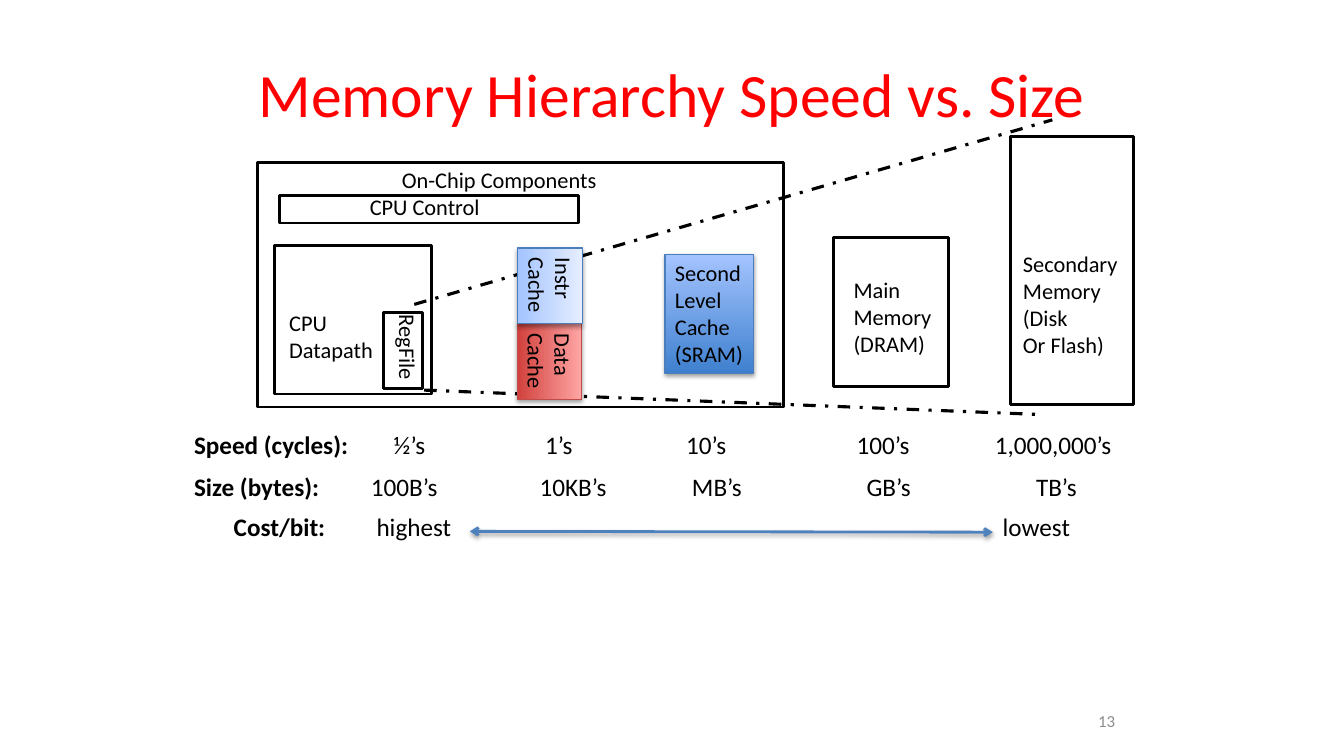
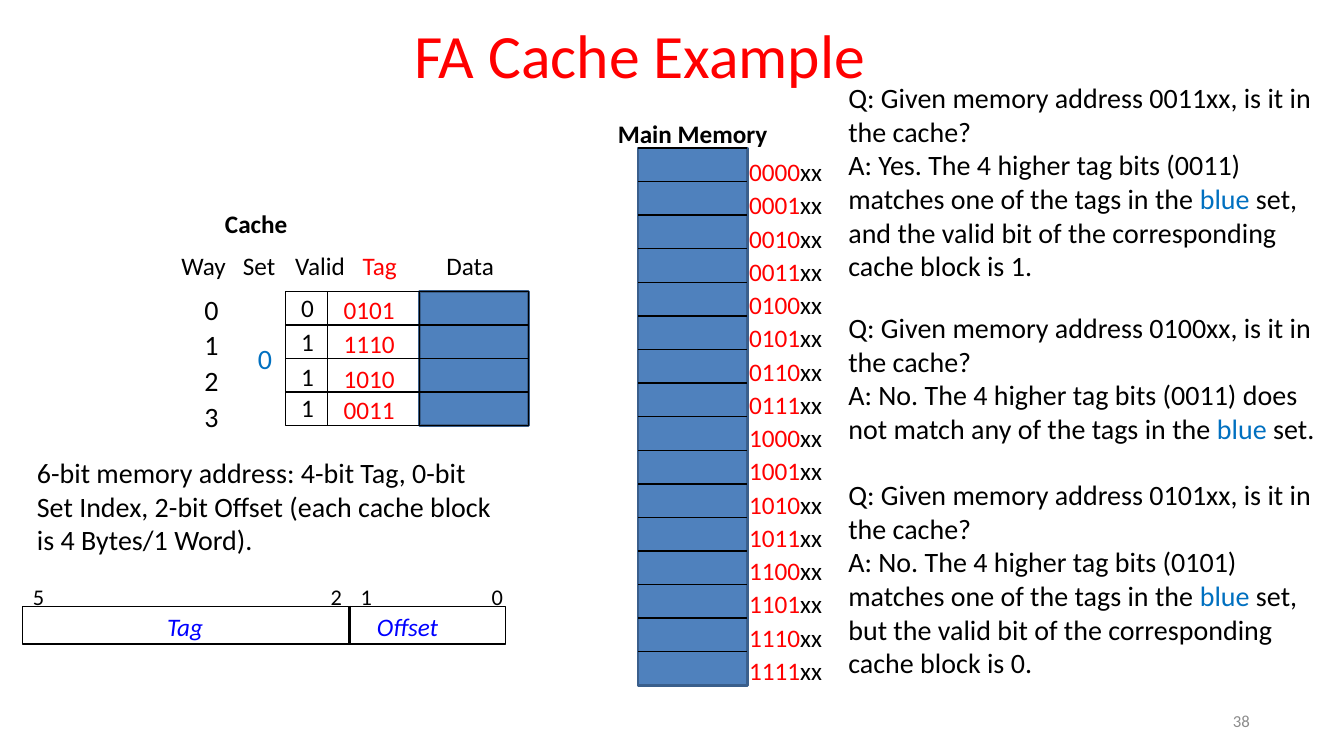
from lxml import etree
from pptx import Presentation
from pptx.dml.color import RGBColor
from pptx.enum import dml, shapes, text
from pptx.oxml import ns
from pptx.util import Cm, Pt

BLACK = RGBColor(0x00, 0x00, 0x00)
RED = RGBColor(0xFF, 0x00, 0x00)
GRAY = RGBColor(0x8C, 0x8C, 0x8C)
BLUE = RGBColor(0x00, 0x00, 0xFF)
SET_BLUE = RGBColor(0x00, 0x70, 0xC0)
BLOCK = RGBColor(0x4F, 0x81, 0xBD)
BLOCK_EDGE = RGBColor(0x3A, 0x5F, 0x8C)
CACHE_EDGE = RGBColor(0x4B, 0x7E, 0xBC)
DATA_EDGE = RGBColor(0xBF, 0x4C, 0x48)
SKY = RGBColor(0xA4, 0xC4, 0xFF)
SKY_PALE = RGBColor(0xE6, 0xEE, 0xFF)
SKY_DEEP = RGBColor(0x3F, 0x80, 0xCE)
ROSE = RGBColor(0xFF, 0xA6, 0xA5)
ROSE_DEEP = RGBColor(0xD1, 0x40, 0x3C)
FONT = "Calibri"
LEFT, CENTER, RIGHT = text.PP_ALIGN.LEFT, text.PP_ALIGN.CENTER, text.PP_ALIGN.RIGHT
TOP, MIDDLE = text.MSO_ANCHOR.TOP, text.MSO_ANCHOR.MIDDLE


def write(target, paragraphs, at=None, size=18, color=BLACK, bold=False, italic=False,
          align=LEFT, wrap=None, anchor=None, spacing=None, tabs=(), rotation=0):
    if at:
        target = target.shapes.add_textbox(*map(Cm, at))
        target.rotation = rotation
        wrap = bool(wrap)
    tf = target.text_frame
    if wrap is not None:
        tf.word_wrap = wrap
    if anchor is not None:
        tf.vertical_anchor = anchor
    if isinstance(paragraphs, str):
        paragraphs = paragraphs.split("\n")
    for i, runs in enumerate(paragraphs):
        p = tf.add_paragraph() if i else tf.paragraphs[0]
        if tabs:
            stops = etree.SubElement(p._p.get_or_add_pPr(), ns.qn("a:tabLst"))
            for tab in tabs:
                etree.SubElement(stops, ns.qn("a:tab"), pos=str(int(Cm(tab))), algn="l")
        p.alignment = align
        if spacing:
            p.line_spacing = spacing
        for content, own in [(runs, {})] if isinstance(runs, str) else runs:
            r = p.add_run()
            r.text = content
            r.font.name = FONT
            r.font.size = Pt(size)
            r.font.bold = own.get("bold", bold)
            r.font.italic = italic
            r.font.color.rgb = own.get("color", color)


def add_line(s, x1, y1, x2, y2, weight, color=BLACK):
    c = s.shapes.add_connector(shapes.MSO_CONNECTOR.STRAIGHT, Cm(x1), Cm(y1), Cm(x2), Cm(y2))
    c.line.color.rgb = color
    c.line.width = Pt(weight)
    etree.SubElement(c._element.spPr, ns.qn("a:effectLst"))
    return c


prs = Presentation()
prs.slide_width, prs.slide_height = Cm(33.87), Cm(19.05)

slides = []
for title, at, spacing, number, number_x in [
    ("Memory Hierarchy Speed vs. Size", (1.7, 0.76, 30.48, 3.18), None, "13", 22.43),
    ("FA Cache Example", (3.96, 0.3, 24.33, 2.41), 0.85, "38", 25.83),
]:
    s = prs.slides.add_slide(prs.slide_layouts[5])
    sp = s.shapes.title
    sp.left, sp.top, sp.width, sp.height = map(Cm, at)
    write(sp, title, size=44, color=RED, align=CENTER, anchor=MIDDLE, spacing=spacing)
    write(s, number, (number_x, 17.65, 5.92, 1.02), size=12, color=GRAY, align=RIGHT,
          wrap=True, anchor=MIDDLE)
    slides.append(s)
hierarchy, example = slides

for s, x, y, w, h, weight, edge, fill, dividers, rows in [
    (hierarchy, 7.04, 4.93, 7.54, 0.69, 2, BLACK, None, (), 1),
    (hierarchy, 6.91, 6.19, 3.96, 3.74, 2, BLACK, None, (), 1),
    (hierarchy, 25.46, 3.45, 3.1, 6.75, 2, BLACK, None, (), 1),
    (hierarchy, 6.48, 4.09, 13.26, 6.17, 2, BLACK, None, (), 1),
    (hierarchy, 9.66, 7.87, 0.99, 1.93, 2, BLACK, None, (), 1),
    (hierarchy, 21.01, 5.99, 2.9, 3.76, 2, BLACK, None, (), 1),
    (example, 16.08, 3.73, 2.75, 13.54, 2, BLOCK_EDGE, BLOCK, range(16), 16),
    (example, 0.58, 15.29, 12.17, 0.94, 0.75, BLACK, None, (), 1),
    (example, 10.57, 7.34, 2.75, 3.38, 2, BLOCK_EDGE, BLOCK, (), 1),
    (example, 10.57, 7.34, 2.75, 3.38, 1, BLACK, None, range(1, 4), 4),
    (example, 8.25, 7.34, 2.33, 3.38, 1, BLACK, None, range(1, 4), 4),
    (example, 7.19, 7.34, 1.06, 3.38, 1, BLACK, None, range(1, 4), 4),
]:
    sp = s.shapes.add_shape(shapes.MSO_SHAPE.RECTANGLE, Cm(x), Cm(y), Cm(w), Cm(h))
    sp.shadow.inherit = False
    if fill:
        sp.fill.solid()
        sp.fill.fore_color.rgb = fill
    else:
        sp.fill.background()
    sp.line.color.rgb = edge
    sp.line.width = Pt(weight)
    for i in dividers:
        level = y + h * i / rows
        add_line(s, x, level, x + w, level, 1)

s = hierarchy
for ends in [(10.44, 7.67, 26.52, 3.02), (10.69, 9.83, 26.09, 10.44)]:
    add_line(s, *ends, 2.25).line.dash_style = dml.MSO_LINE.DASH_DOT

arrow = add_line(s, 11.84, 13.39, 25.02, 13.41, 2, BLOCK)
for end in ("a:headEnd", "a:tailEnd"):
    etree.SubElement(arrow.line._get_or_add_ln(), ns.qn(end), type="arrow")

shadowed = [arrow]
for label, at, rotation, start, end, edge in [
    ("Second\nLevel\nCache\n(SRAM)", (16.76, 6.41, 2.24, 3), 0, SKY_DEEP, SKY, CACHE_EDGE),
    ("Data\nCache", (12.89, 8.3, 1.91, 1.63), 90, ROSE_DEEP, ROSE, DATA_EDGE),
    ("Instr\nCache", (12.91, 6.39, 1.91, 1.63), 90, SKY, SKY_PALE, CACHE_EDGE),
]:
    sp = s.shapes.add_shape(shapes.MSO_SHAPE.RECTANGLE, *map(Cm, at))
    sp.rotation = rotation
    sp.fill.gradient()
    sp.fill.gradient_angle = 90
    for stop, color in zip(sp.fill.gradient_stops, (start, end)):
        stop.color.rgb = color
    sp.line.color.rgb = edge
    sp.line.width = Pt(0.75)
    sp.shadow.inherit = False
    shadowed.append(sp)
    write(sp, label, size=16, wrap=False, anchor=TOP)

for sp in shadowed:
    effects = sp._element.spPr.find(ns.qn("a:effectLst"))
    shadow = etree.SubElement(effects, ns.qn("a:outerShdw"), blurRad="40000", dist="22000",
                              dir="5400000", rotWithShape="0")
    tint = etree.SubElement(shadow, ns.qn("a:srgbClr"), val=str(BLACK))
    etree.SubElement(tint, ns.qn("a:alpha"), val="36000")

for label, at, rotation in [
    ("On-Chip Components", (9.88, 4.06, 5.46, 0.94), 0),
    ("CPU Control", (9.07, 4.75, 3.3, 0.94), 0),
    ("CPU\nDatapath", (7.04, 7.67, 2.64, 1.63), 0),
    ("RegFile", (8.88, 8.64, 2.82, 0.91), 90),
    ("Main\nMemory\n(DRAM)", (21.26, 6.83, 2.54, 2.29), 0),
    ("Secondary\nMemory\n(Disk\nOr Flash)", (25.53, 6.19, 2.92, 3), 0),
]:
    write(s, label, at, size=16, wrap=bool(rotation), rotation=rotation)

for label, values, at, tabs in [
    ("Speed (cycles):", ["½’s", "1’s", "10’s", "100’s", "1,000,000’s"],
     (4.64, 10.8, 25, 0.9), (5.03, 8.85, 12.4, 16.7, 20.18)),
    ("Size (bytes):", ["100B’s", "10KB’s", "MB’s", "GB’s", "TB’s"],
     (4.64, 11.86, 25, 0.9), (4.46, 8.71, 12.55, 16.95, 21.22)),
    ("Cost/bit:", ["highest", "lowest"], (5.64, 12.88, 24, 0.9), (3.6, 19.38)),
]:
    runs = [(label, {"bold": True})] + [("\t" + value, {}) for value in values]
    write(s, [runs], at, wrap=True, spacing=0.85, tabs=tabs)

s = example
add_line(s, 8.81, 15.27, 8.81, 16.21, 2)

addresses = [[(f"{n:04b}", {"color": RED}), ("xx", {})] for n in range(16)]
write(s, addresses, (18.63, 3.74, 2.74, 13.79), wrap=True, spacing=1.1)

for label, x, y, w, bold, italic, color in [
    ("Main Memory", 15.32, 2.86, 4.32, True, False, BLACK),
    ("Cache", 5.42, 5.13, 2.11, True, False, BLACK),
    ("Way", 4.32, 6.18, 1.65, False, False, BLACK),
    ("Set", 5.87, 6.18, 1.35, False, False, BLACK),
    ("Valid", 7.19, 6.18, 1.78, False, False, BLACK),
    ("Tag", 8.89, 6.18, 1.37, False, False, RED),
    ("Data", 11, 6.18, 1.73, False, False, BLACK),
    ("Offset", 9.25, 15.27, 2.08, False, True, BLUE),
    ("Tag", 3.96, 15.27, 1.42, False, True, BLUE),
]:
    write(s, label, (x, y, w, 1.02), bold=bold, italic=italic, color=color)

for way, (valid, tag, y) in enumerate([
    ("0", "0101", 7.29), ("1", "1110", 8.15), ("1", "1010", 9.02), ("1", "0011", 9.8),
]):
    write(s, str(way), (4.9, 7.24 + 0.9 * way, 0.86, 1.12), size=20)
    write(s, valid, (7.34, y - 0.05, 0.84, 1.02))
    write(s, tag, (8.41, y, 1.8, 1.02), color=RED)
write(s, "0", (6.25, 8.48, 0.86, 1.12), size=20, color=SET_BLUE)

for bit, x in [("5", 0.58), ("2", 8.08), ("1", 8.84), ("0", 12.14)]:
    write(s, bit, (x, 14.57, 0.81, 0.94), size=16)

write(s, "6-bit memory address: 4-bit Tag, 0-bit Set Index, 2-bit Offset "
      "(each cache block is 4 Bytes/1 Word).", (0.68, 11.36, 12.09, 2.82), size=20, wrap=True)

for y, h, queried, before, after in [
    (1.91, 5.38, "0011xx", "Yes. The 4 higher tag bits (0011) matches one",
     " set, and the valid bit of the corresponding cache block is 1."),
    (7.7, 3.68, "0100xx", "No. The 4 higher tag bits (0011) does not match any", " set."),
    (11.91, 5.38, "0101xx", "No. The 4 higher tag bits (0101) matches one",
     " set, but the valid bit of the corresponding cache block is 0."),
]:
    question = f"Q: Given memory address {queried}, is it in the cache?"
    answer = [(f"A: {before} of the tags in the ", {}), ("blue", {"color": SET_BLUE}), (after, {})]
    write(s, [question, answer], (21.13, y, 12.5, h), size=20, wrap=True)

prs.save("out.pptx")
